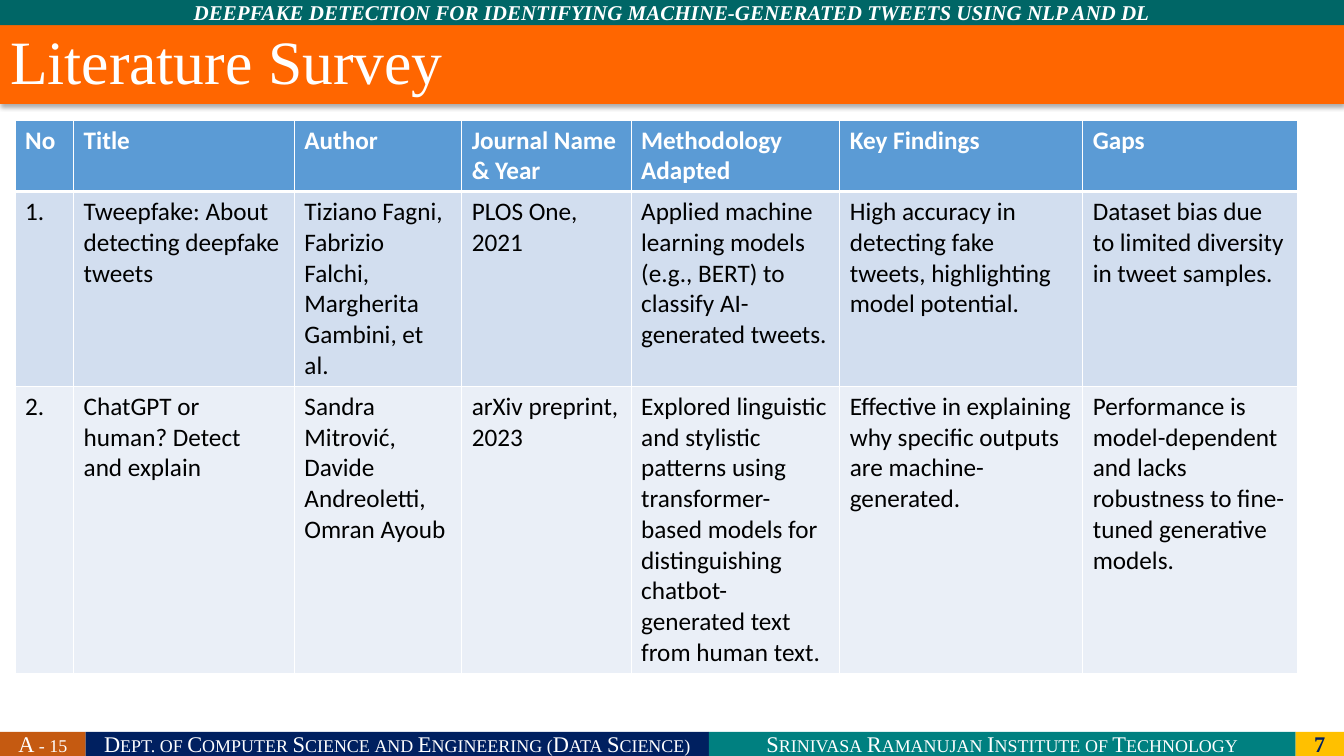
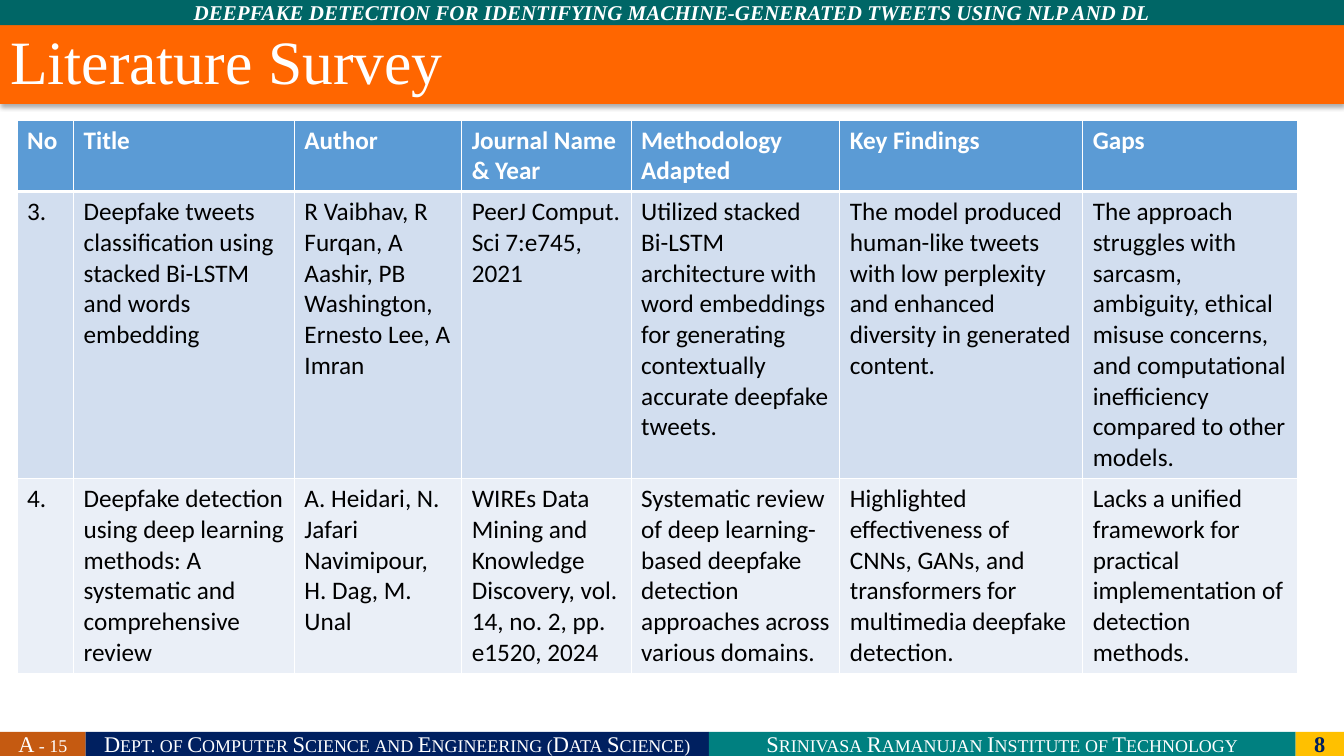
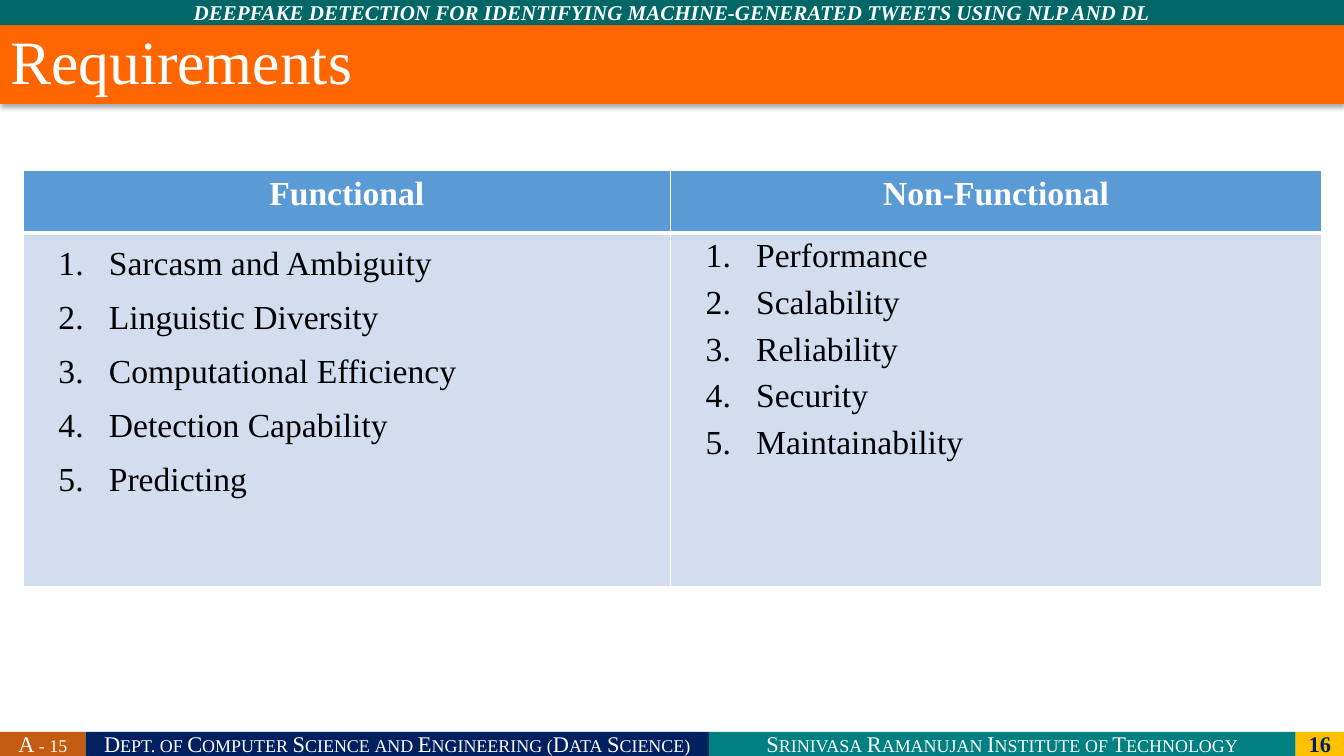
from lxml.etree import SubElement
from pptx import Presentation
from pptx.dml.color import RGBColor
from pptx.enum.shapes import MSO_SHAPE as Shape
from pptx.enum.text import MSO_ANCHOR as Anchor, MSO_AUTO_SIZE as AutoSize, PP_ALIGN as Align
from pptx.oxml import parse_xml
from pptx.oxml.ns import nsdecls, qn
from pptx.util import Inches, Pt

WHITE, BLACK, NAVY = "FFFFFF", "000000", "002060"
ORANGE, RUST, TEAL, DARK_TEAL, GOLD = "FF6600", "C55A11", "008080", "006666", "FFC000"
HEADER_BLUE, ROW_FILLS = "5B9BD5", ("D2DEEF", "EAEFF7")
SERIF, SANS = "Times New Roman", "Calibri"

PROJECT = "DEEPFAKE DETECTION FOR IDENTIFYING MACHINE-GENERATED TWEETS USING NLP AND DL"
DEPARTMENT = "Dept. of Computer Science and Engineering (Data Science)"
INSTITUTE = "Srinivasa Ramanujan Institute of Technology"

SURVEY_HEADINGS = ["No", "Title", "Author", "Journal Name & Year",
                   "Methodology Adapted", "Key Findings", "Gaps"]
SURVEY_WIDTHS = [2.19, 1.66, 1.68, 2.07, 2.41, 2.13]
SURVEYS = [
    (7, 0.58, [0.71, 1.93, 2.84], [
        ["1.", "Tweepfake: About detecting deepfake tweets",
         "Tiziano Fagni, Fabrizio Falchi, Margherita Gambini, et al.",
         "PLOS One, 2021",
         "Applied machine learning models (e.g., BERT) to classify AI-generated tweets.",
         "High accuracy in detecting fake tweets, highlighting model potential.",
         "Dataset bias due to limited diversity in tweet samples."],
        ["2.", "ChatGPT or human? Detect and explain",
         "Sandra Mitrović, Davide Andreoletti, Omran Ayoub",
         "arXiv preprint, 2023",
         "Explored linguistic and stylistic patterns using transformer-based models for "
         "distinguishing chatbot-generated text from human text.",
         "Effective in explaining why specific outputs are machine-generated.",
         "Performance is model-dependent and lacks robustness to fine-tuned generative models."],
    ]),
    (8, 0.56, [0.71, 2.84, 1.93], [
        ["3.", "Deepfake tweets classification using stacked Bi-LSTM and words embedding",
         "R Vaibhav, R Furqan, A Aashir, PB Washington, Ernesto Lee, A Imran",
         "PeerJ Comput. Sci 7:e745, 2021",
         "Utilized stacked Bi-LSTM architecture with word embeddings for generating "
         "contextually accurate deepfake tweets.",
         "The model produced human-like tweets with low perplexity and enhanced diversity "
         "in generated content.",
         "The approach struggles with sarcasm, ambiguity, ethical misuse concerns, and "
         "computational inefficiency compared to other models."],
        ["4.", "Deepfake detection using deep learning methods: A systematic and "
         "comprehensive review",
         "A. Heidari, N. Jafari Navimipour, H. Dag, M. Unal",
         "WIREs Data Mining and Knowledge Discovery, vol. 14, no. 2, pp. e1520, 2024",
         "Systematic review of deep learning-based deepfake detection approaches across "
         "various domains.",
         "Highlighted effectiveness of CNNs, GANs, and transformers for multimedia "
         "deepfake detection.",
         "Lacks a unified framework for practical implementation of detection methods."],
    ]),
]
FUNCTIONAL = ["Sarcasm and Ambiguity", "Linguistic Diversity", "Computational Efficiency",
              "Detection Capability", "Predicting"]
NON_FUNCTIONAL = ["Performance", "Scalability", "Reliability", "Security", "Maintainability"]


def rgb(code):
    """Turn a hex string into a colour."""
    return RGBColor.from_string(code)


def write(frame, text, size=18, font=SANS, color=BLACK, bold=False, italic=False,
          small_caps=False, align=Align.LEFT, spacing=None, before=0, numbered=False):
    """Fill a text frame with one paragraph, or with one for each item of a list."""
    lines = [text] if isinstance(text, str) else text
    for index, line in enumerate(lines):
        paragraph = frame.add_paragraph() if index else frame.paragraphs[0]
        paragraph.alignment = align
        paragraph.space_before = Pt(before if index else 0)
        if spacing:
            paragraph.line_spacing = spacing
        if numbered:
            properties = paragraph._p.get_or_add_pPr()
            properties.set("marL", str(Inches(0.75)))
            properties.set("indent", str(Inches(-0.5)))
            SubElement(properties, qn("a:buFont"), typeface="+mj-lt")
            SubElement(properties, qn("a:buAutoNum"), type="arabicPeriod")
        run = paragraph.add_run()
        run.text = line
        run.font.size, run.font.name = Pt(size), font
        run.font.bold, run.font.italic = bold, italic
        run.font.color.rgb = rgb(color)
        if small_caps:
            run.font._element.set("cap", "small")


class Deck:
    """Hold the shared style and the current slide."""

    def __init__(self):
        """Start an empty widescreen presentation."""
        self.presentation = Presentation()
        self.presentation.slide_width = Inches(13.33)
        self.presentation.slide_height = Inches(7.5)
        self.slide = None

    def new_slide(self, title, number):
        """Add a slide with its bands, footer and title."""
        self.slide = self.presentation.slides.add_slide(self.presentation.slide_layouts[5])
        self.band(0, 0, 13.33, 0.25, DARK_TEAL, PROJECT, size=15, bold=True, italic=True)
        self.band(0, 7.26, 0.85, 0.24, RUST, "A - 15", small_caps=True)
        self.band(0.85, 7.26, 6.18, 0.24, NAVY, DEPARTMENT, small_caps=True)
        self.band(7.03, 7.26, 5.82, 0.24, TEAL, INSTITUTE, small_caps=True)
        self.band(12.85, 7.26, 0.48, 0.24, GOLD, str(number), color=NAVY, bold=True)
        self.title(title)

    def band(self, left, top, width, height, fill, text, size=16, color=WHITE, **style):
        """Draw a plain filled strip with centred text."""
        strip = self.slide.shapes.add_shape(
            Shape.RECTANGLE, Inches(left), Inches(top), Inches(width), Inches(height))
        strip.shadow.inherit = False
        strip.fill.solid()
        strip.fill.fore_color.rgb = rgb(fill)
        strip.line.fill.background()
        frame = strip.text_frame
        frame.word_wrap = True
        frame.vertical_anchor = Anchor.MIDDLE
        frame.margin_top = frame.margin_bottom = 0
        write(frame, text, size=size, font=SERIF, color=color, align=Align.CENTER, **style)

    def title(self, text):
        """Place the title on its shadowed band."""
        title = self.slide.shapes.title
        title.left, title.top = Inches(0), Inches(0.25)
        title.width, title.height = Inches(13.33), Inches(0.78)
        title.fill.solid()
        title.fill.fore_color.rgb = rgb(ORANGE)
        title._element.spPr.append(parse_xml(
            f'<a:effectLst {nsdecls("a")}><a:outerShdw blurRad="{Pt(3.5)}" dist="{Pt(2.2)}" '
            f'dir="5400000" algn="t" rotWithShape="0"><a:srgbClr val="{BLACK}">'
            '<a:alpha val="32000"/></a:srgbClr></a:outerShdw></a:effectLst>'))
        title.text_frame.auto_size = AutoSize.NONE
        title.text_frame.word_wrap = True
        title.text_frame.vertical_anchor = Anchor.MIDDLE
        write(title.text_frame, text, size=44, font=SERIF, color=WHITE, spacing=0.9)

    def table(self, left, top, widths, heights):
        """Add a table with white rules and row fills."""
        grid = self.slide.shapes.add_table(
            len(heights), len(widths), Inches(left), Inches(top),
            Inches(sum(widths)), Inches(sum(heights))).table
        for column, width in zip(grid.columns, widths):
            column.width = Inches(width)
        for index, (row, height) in enumerate(zip(grid.rows, heights)):
            row.height = Inches(height)
            for cell in row.cells:
                self.borders(cell, top=3 if index == 1 else 1, bottom=1 if index else 3)
                cell.fill.solid()
                cell.fill.fore_color.rgb = rgb(
                    ROW_FILLS[(index - 1) % 2] if index else HEADER_BLUE)
        return grid

    def borders(self, cell, top, bottom):
        """Rule the four sides of a cell in white."""
        properties = cell._tc.get_or_add_tcPr()
        for side, points in (("L", 1), ("R", 1), ("T", top), ("B", bottom)):
            properties.append(parse_xml(
                f'<a:ln{side} {nsdecls("a")} w="{Pt(points)}"><a:solidFill>'
                f'<a:srgbClr val="{WHITE}"/></a:solidFill></a:ln{side}>'))

    def survey(self, number, number_width, heights, papers):
        """Add one slide of the literature survey."""
        self.new_slide("Literature Survey", number)
        grid = self.table(0.73 - number_width, 1.19, [number_width] + SURVEY_WIDTHS, heights)
        for index, (row, texts) in enumerate(zip(grid.rows, [SURVEY_HEADINGS] + papers)):
            for cell, text in zip(row.cells, texts):
                write(cell.text_frame, text, color=BLACK if index else WHITE, bold=not index)

    def requirements(self, number):
        """Add the slide that lists the requirements."""
        self.new_slide("Requirements", number)
        grid = self.table(0.23, 1.69, [6.42, 6.46], [0.62, 3.51])
        groups = [("Functional", FUNCTIONAL, 1.2), ("Non-Functional", NON_FUNCTIONAL, 1.0)]
        for column, (heading, items, spacing) in enumerate(groups):
            write(grid.cell(0, column).text_frame, heading, size=24, font=SERIF,
                  color=WHITE, bold=True, align=Align.CENTER)
            write(grid.cell(1, column).text_frame, items, size=24, font=SERIF,
                  spacing=spacing, before=6.8, numbered=True)


def main():
    """Build and save the three slides."""
    deck = Deck()
    for survey in SURVEYS:
        deck.survey(*survey)
    deck.requirements(16)
    deck.presentation.save("out.pptx")


if __name__ == "__main__":
    main()
